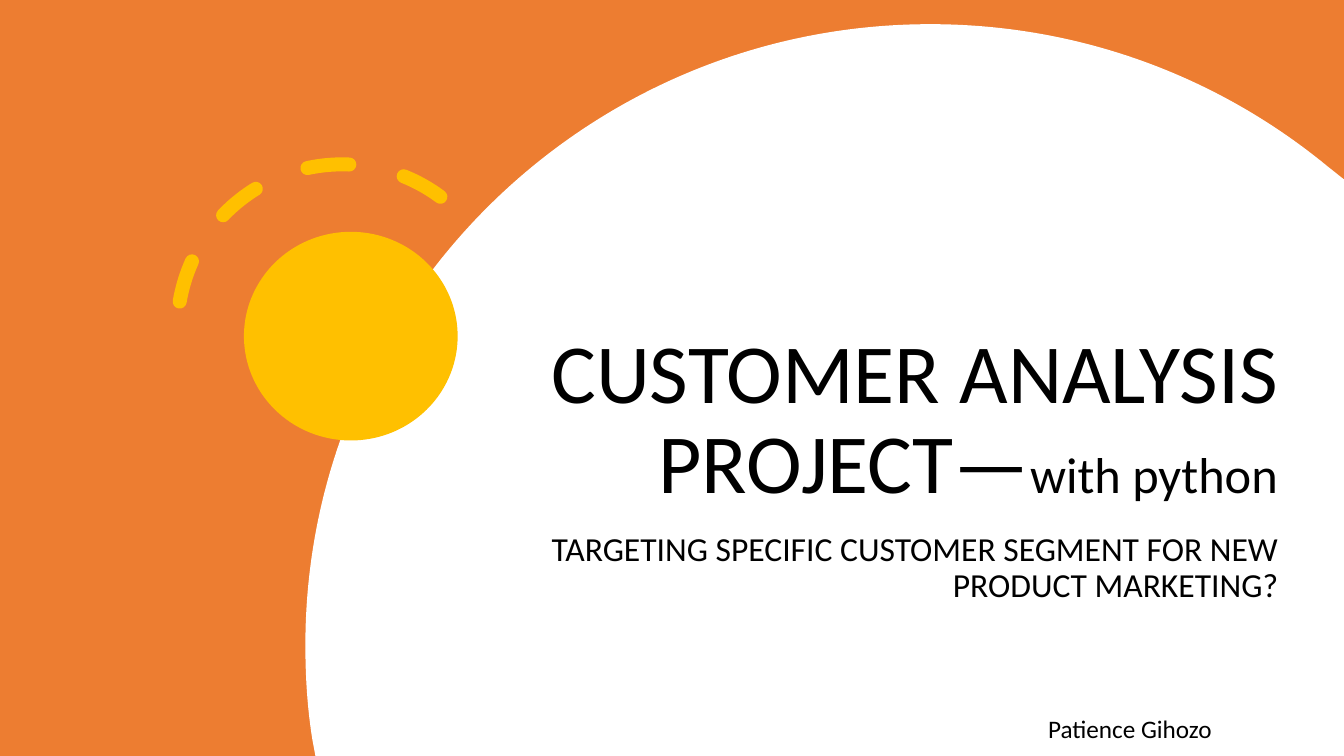
import lxml.etree
import pptx
import pptx.dml.color
import pptx.enum.dml
import pptx.enum.shapes
import pptx.enum.text
import pptx.oxml.ns
import pptx.util

Inches = pptx.util.Inches
Pt = pptx.util.Pt
qn = pptx.oxml.ns.qn
RIGHT = pptx.enum.text.PP_ALIGN.RIGHT
LEFT = pptx.enum.text.PP_ALIGN.LEFT
SHAPES = pptx.enum.shapes.MSO_SHAPE

TITLE = [("CUSTOMER ANALYSIS PROJECT—", "title"), ("with python", "title_note")]
SUBTITLE = [("TARGETING SPECIFIC CUSTOMER SEGMENT FOR NEW PRODUCT MARKETING?", "subtitle")]
AUTHOR = [("Patience Gihozo", "author")]

THEME = {
    "font": "Calibri",
    "colors": {"background": "ED7D31", "disc": "FFFFFF", "sun": "FFC000", "text": "000000"},
    "sizes": {"title": 60, "title_note": 36, "subtitle": 24, "author": 18},
}

SLIDE_WIDTH, SLIDE_HEIGHT = 40 / 3, 7.5
TEXT_LEFT, TEXT_WIDTH = 4.42, 8.36

# One point is a straight side; three points are a curve.
DISC_START = (9.23, 0.24)
DISC_SEGMENTS = [
    [(10.73, 0.24), (12.1, 0.77), (13.17, 1.65)],
    [(SLIDE_WIDTH, 1.78)],
    [(SLIDE_WIDTH, SLIDE_HEIGHT)],
    [(3.13, SLIDE_HEIGHT)],
    [(3.1, 7.34)],
    [(3.05, 7.03), (3.03, 6.72), (3.03, 6.4)],
    [(3.03, 3), (5.81, 0.24), DISC_START],
]


def color(name):
    return pptx.dml.color.RGBColor.from_string(THEME["colors"][name])


def paint(shape, color_name):
    shape.shadow.inherit = False
    shape.fill.solid()
    shape.fill.fore_color.rgb = color(color_name)
    shape.line.fill.background()


def add_filled(slide, kind, box, color_name):
    shape = slide.shapes.add_shape(kind, *map(Inches, box))
    paint(shape, color_name)


def add_disc(slide):
    """Draw the large disc, cut off by the slide edges, with true curves."""
    builder = slide.shapes.build_freeform(*map(Inches, DISC_START), scale=1.0)
    points = [tuple(map(Inches, point)) for segment in DISC_SEGMENTS for point in segment]
    builder.add_line_segments(points, close=True)
    disc = builder.convert_to_shape()
    paint(disc, "disc")
    sides = iter(list(disc._element.iter(qn("a:lnTo"))))
    for segment in DISC_SEGMENTS:
        first, *others = [next(sides) for _ in segment]
        if others:
            first.tag = qn("a:cubicBezTo")
        for other in others:
            first.append(other[0])
            other.getparent().remove(other)


def add_rays(slide):
    """Draw the dashed, round-capped arc around the sun."""
    rays = slide.shapes.add_shape(SHAPES.ARC, *map(Inches, (1.76, 1.63, 3.27, 3.27)))
    rays.shadow.inherit = False
    rays.adjustments[0] = 144.56
    rays.adjustments[1] = 2.28
    rays.rotation = 308.7
    rays.fill.background()
    rays.line.color.rgb = color("sun")
    rays.line.width = Pt(10)
    rays.line.dash_style = pptx.enum.dml.MSO_LINE.DASH
    line_xml = rays._element.spPr.find(qn("a:ln"))
    line_xml.set("cap", "rnd")
    lxml.etree.SubElement(line_xml, qn("a:round"))


def write(shape, runs, alignment, line_spacing=1.0, space_before=0):
    frame = shape.text_frame
    frame.word_wrap = True
    frame.auto_size = pptx.enum.text.MSO_AUTO_SIZE.NONE
    paragraph = frame.paragraphs[0]
    paragraph.alignment = alignment
    paragraph.line_spacing = line_spacing
    paragraph.space_before = Pt(space_before)
    for text, size in runs:
        run = paragraph.add_run()
        run.text = text
        run.font.name = THEME["font"]
        run.font.size = Pt(THEME["sizes"][size])
        run.font.color.rgb = color("text")


def add_title(slide):
    title = slide.shapes.title
    title.left, title.top, title.width, title.height = map(Inches, (TEXT_LEFT, 2.12, TEXT_WIDTH, 3.01))
    title.text_frame.vertical_anchor = pptx.enum.text.MSO_ANCHOR.BOTTOM
    write(title, TITLE, RIGHT, line_spacing=0.9)
    slide.shapes._spTree.append(title._element)  # bring in front of the artwork


def add_text(slide, box, runs, alignment, **spacing):
    write(slide.shapes.add_textbox(*map(Inches, box)), runs, alignment, **spacing)


def main():
    presentation = pptx.Presentation()
    presentation.slide_width = Inches(SLIDE_WIDTH)
    presentation.slide_height = Inches(SLIDE_HEIGHT)
    slide = presentation.slides.add_slide(presentation.slide_layouts.get_by_name("Title Only"))

    add_filled(slide, SHAPES.RECTANGLE, (0, 0, SLIDE_WIDTH, SLIDE_HEIGHT), "background")
    add_disc(slide)
    add_filled(slide, SHAPES.OVAL, (2.42, 2.3, 2.12, 2.07), "sun")
    add_rays(slide)

    add_title(slide)
    add_text(slide, (TEXT_LEFT, 5.23, TEXT_WIDTH, 1.45), SUBTITLE, RIGHT, line_spacing=0.9, space_before=10)
    add_text(slide, (10.3, 7.03, 2.82, 0.4), AUTHOR, LEFT)

    presentation.save("out.pptx")


if __name__ == "__main__":
    main()
